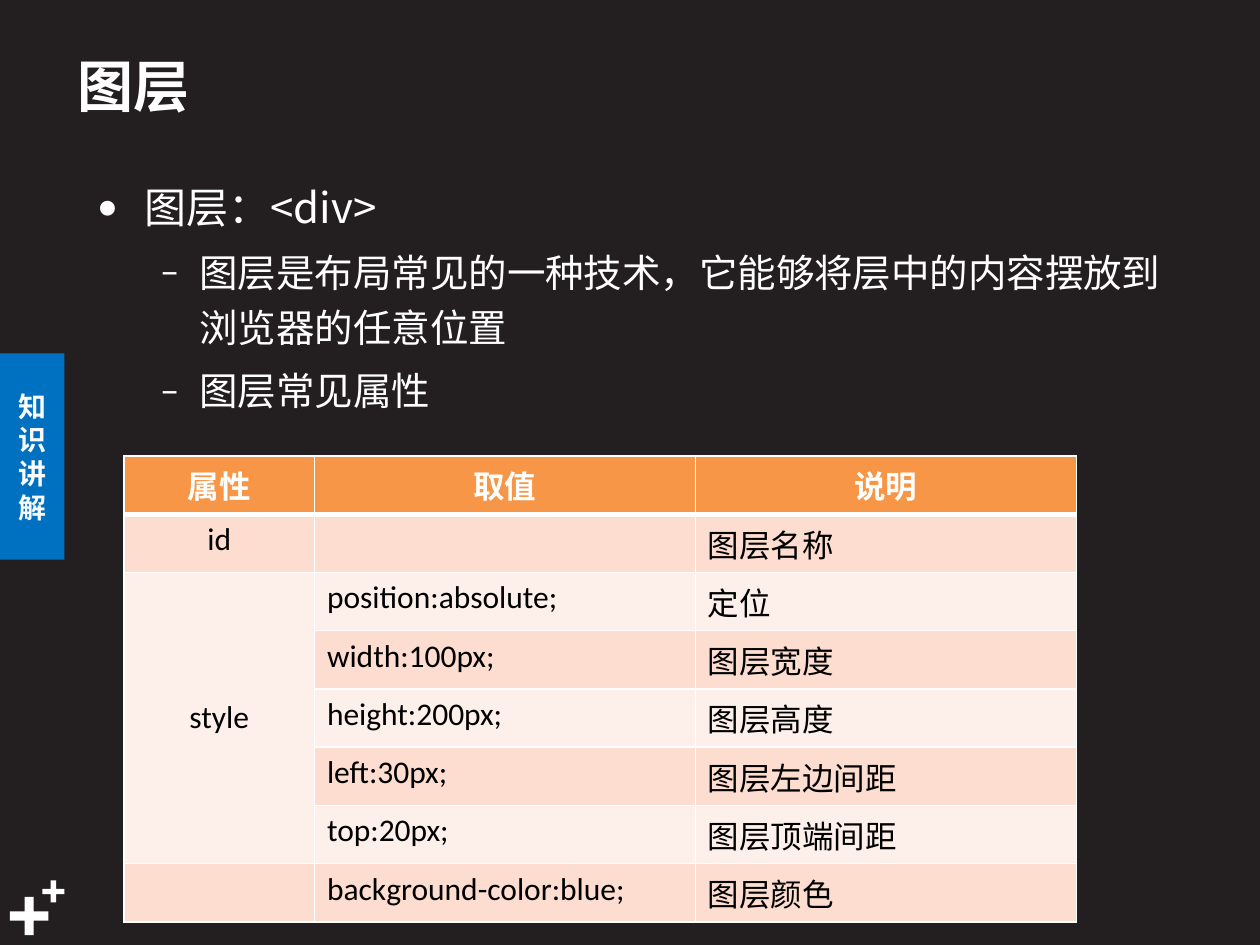
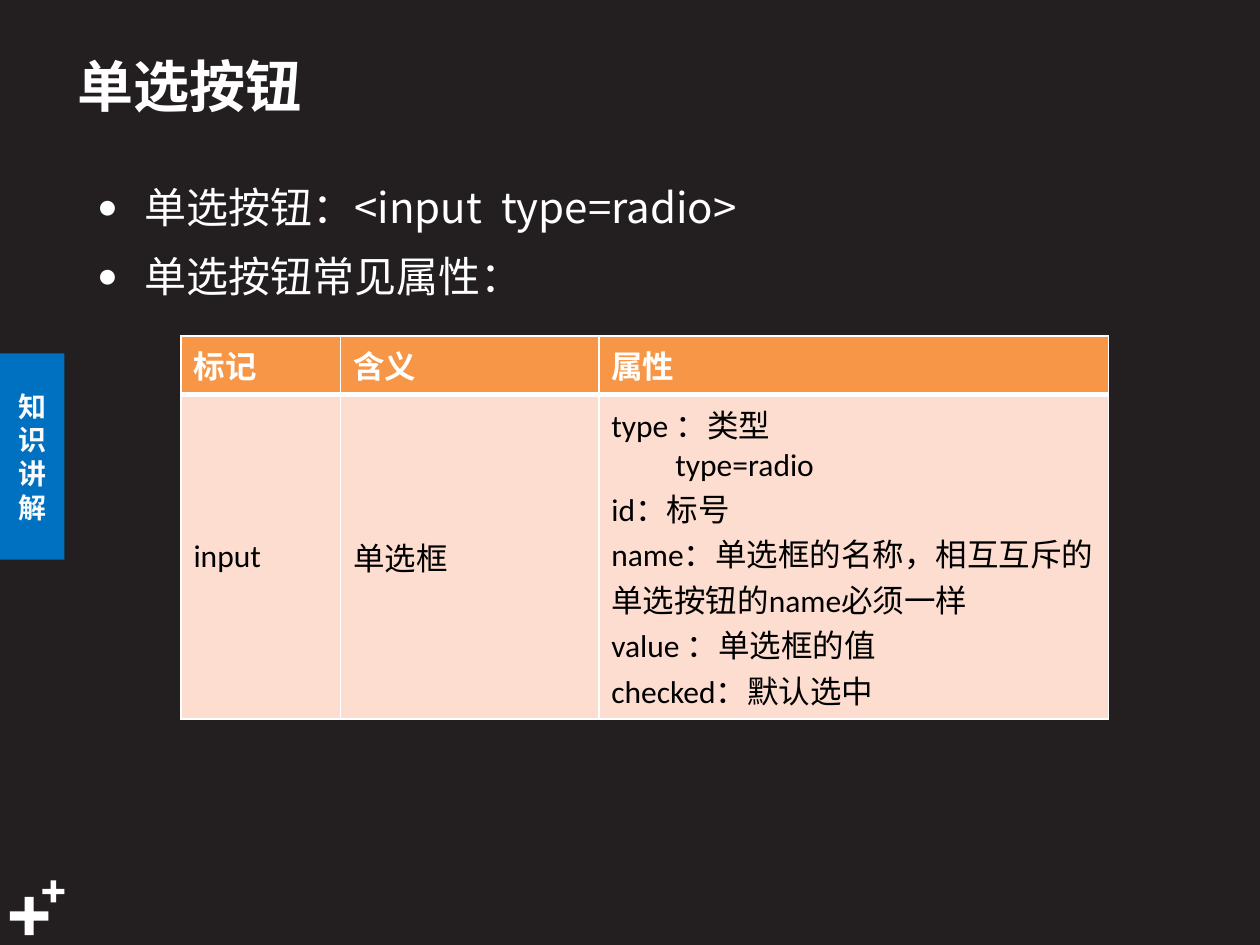
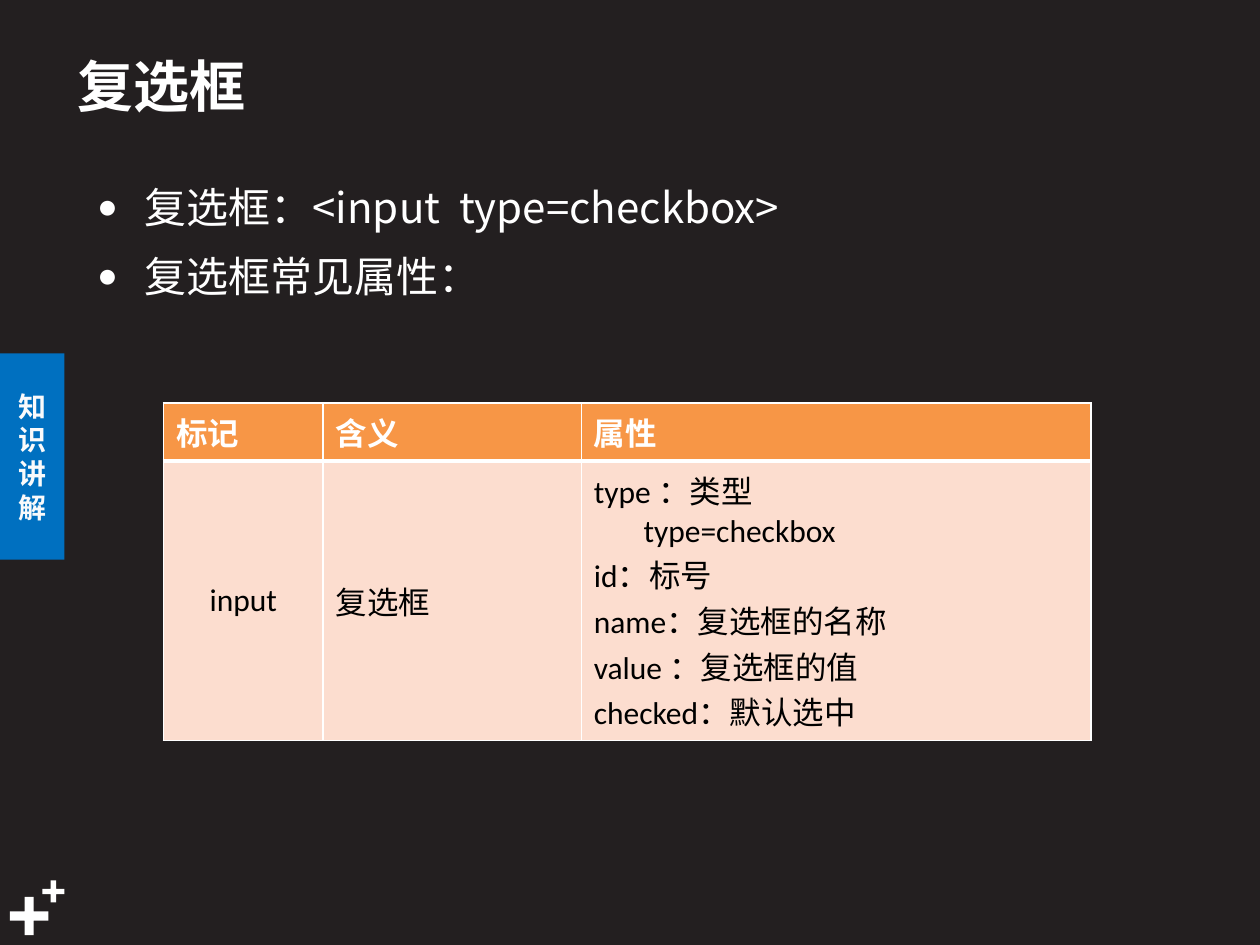
import dataclasses

import pptx
import pptx.dml.color
import pptx.enum.shapes
import pptx.enum.text
import pptx.oxml
import pptx.oxml.ns
import pptx.util

Pt = pptx.util.Pt
Rgb = pptx.dml.color.RGBColor.from_string
Shape = pptx.enum.shapes.MSO_SHAPE
Align = pptx.enum.text.PP_ALIGN
Mid = pptx.enum.text.MSO_ANCHOR.MIDDLE


@dataclasses.dataclass(frozen=True)
class Theme:
    """Hold the colours, fonts and type sizes of the deck."""
    back: str = "231F20"
    white: str = "FFFFFF"
    black: str = "000000"
    blue: str = "0070C0"
    pale: str = "F9FAFB"
    head: str = "F79646"
    bands: tuple = ("FCDDCF", "FDEFE9")
    sans: str = "Noto Sans CJK SC"
    latin: str = "Calibri"
    title: int = 32
    body: tuple = (24, 22)
    cell: int = 18
    tab: int = 16


THEME = Theme()
BULLETS = (("•", 27, -27), ("–", 58.5, -22.5))
ROW = 33.3
FORM_COLS = (91.3, 147.5, 291.4)
FORM_HEAD = ("标记", "含义", "属性")


def apply(item, values):
    """Set each named value on the item."""
    for name, value in values.items():
        setattr(item, name, value)


def node(parent, tag, **attrs):
    """Append a drawing element with its attributes."""
    child = pptx.oxml.parse_xml(f"<a:{tag} {pptx.oxml.ns.nsdecls('a')}/>")
    for name, value in attrs.items():
        child.set(name, str(value))
    parent.append(child)
    return child


def write(para, text, size, color, bold=False, name=THEME.sans):
    """Add one styled run to a paragraph."""
    run = para.add_run()
    run.text = text
    apply(run.font, {"size": Pt(size), "bold": bold, "name": name})
    run.font.color.rgb = Rgb(color)
    node(run.font._element, "ea", typeface=THEME.sans)


def indent(para, left, first=0):
    """Set the left margin and first line indent, and return the properties."""
    props = para._p.get_or_add_pPr()
    props.set("marL", str(Pt(left)))
    props.set("indent", str(Pt(first)))
    return props


def block(shapes, kind, box, color):
    """Draw a plain filled shape."""
    shape = shapes.add_shape(kind, *map(Pt, box))
    shape.shadow.inherit = False
    shape.fill.solid()
    shape.fill.fore_color.rgb = Rgb(color)
    shape.line.fill.background()
    return shape


def frame(slide):
    """Draw the plus signs and the side tab."""
    group = slide.shapes.add_group_shape()
    for left, top, size in ((5.7, 512.5, 21.9), (24.2, 503.1, 12.6)):
        plus = block(group.shapes, Shape.CROSS, (left, top, size, size), THEME.white)
        plus.adjustments[0] = 0.38
    tab = block(slide.shapes, Shape.RECTANGLE, (0, 202, 36.8, 117.8), THEME.blue)
    apply(tab.text_frame, {"word_wrap": True, "vertical_anchor": Mid})
    para = tab.text_frame.paragraphs[0]
    apply(para, {"alignment": Align.CENTER, "line_spacing": Pt(19.2)})
    write(para, "知识讲解", THEME.tab, THEME.pale, True)


def title(slide, text):
    """Add the slide title."""
    box = slide.shapes.add_textbox(*map(Pt, (37.2, 20.5, 532.8, 56.2)))
    apply(box.text_frame, {"word_wrap": True, "vertical_anchor": Mid})
    write(box.text_frame.paragraphs[0], text, THEME.title, THEME.white, True)


def points(slide, lines, height):
    """Add bullet lines given as level and text."""
    box = slide.shapes.add_textbox(*map(Pt, (48.5, 94.3, 640.8, height)))
    box.text_frame.word_wrap = True
    for index, (level, text) in enumerate(lines):
        para = box.text_frame.add_paragraph() if index else box.text_frame.paragraphs[0]
        mark, left, first = BULLETS[level]
        size = THEME.body[level]
        props = indent(para, left, first)
        node(props, "buFont", typeface=THEME.latin)
        node(props, "buChar", char=mark)
        apply(para, {"level": level, "line_spacing": 1.2,
                     "space_before": Pt(0.2 * size if index else 0)})
        write(para, text, size, THEME.white)


def edge(cell, row):
    """Rule a cell in white, with a thick line under the header."""
    props = cell._tc.get_or_add_tcPr()
    for side in "LRTB":
        thick = (side, row) in (("B", 0), ("T", 1))
        line = node(props, "ln" + side, w=Pt(3 if thick else 1))
        node(node(line, "solidFill"), "srgbClr", val=THEME.white)


def fill(cell, lines, row, center):
    """Write and colour one table cell."""
    edge(cell, row)
    cell.fill.solid()
    cell.fill.fore_color.rgb = Rgb(THEME.bands[(row - 1) % 2] if row else THEME.head)
    color = THEME.black if row else THEME.white
    for index, (text, left) in enumerate(lines):
        para = cell.text_frame.add_paragraph() if index else cell.text_frame.paragraphs[0]
        if left:
            indent(para, left)
        if center:
            para.alignment = Align.CENTER
        write(para, text, THEME.cell, color, not row, THEME.latin)


def grid(slide, spot, cols, highs, rows, center=(), middle=()):
    """Add a table whose cells are texts or lists of text and indent."""
    box = (*spot, sum(cols), sum(highs))
    table = slide.shapes.add_table(len(rows), len(cols), *map(Pt, box)).table
    for column, width in zip(table.columns, cols):
        column.width = Pt(width)
    for line, high in zip(table.rows, highs):
        line.height = Pt(high)
    for row, texts in enumerate(rows):
        for col, text in enumerate(texts):
            lines = [(text, 0)] if isinstance(text, str) else text
            cell = table.cell(row, col)
            fill(cell, [line for line in lines if line[0]], row, (row, col) in center)
            if (row, col) in middle:
                cell.vertical_anchor = Mid
    return table


def page(deck, name):
    """Add a slide with the shared frame and a title."""
    slide = deck.slides.add_slide(deck.slide_layouts[6])
    frame(slide)
    title(slide, name)
    return slide


def layer(deck):
    """Build the slide on layers."""
    slide = page(deck, "图层")
    points(slide, [
        (0, "图层：<div>"),
        (1, "图层是布局常见的一种技术，它能够将层中的内容摆放到浏览器的任意位置"),
        (1, "图层常见属性"),
    ], 149)
    rows = [
        ("属性", "取值", "说明"),
        ("id", "", "图层名称"),
        ("style", "position:absolute;", "定位"),
        ("", "width:100px;", "图层宽度"),
        ("", "height:200px;", "图层高度"),
        ("", "left:30px;", "图层左边间距"),
        ("", "top:20px;", "图层顶端间距"),
        ("", "background-color:blue;", "图层颜色"),
    ]
    center = [(0, 0), (0, 1), (0, 2), (1, 0), (2, 0)]
    table = grid(slide, (70.9, 260.6), (108.8, 217.7, 217.7), [ROW] * len(rows),
                 rows, center, [(2, 0)])
    table.cell(2, 0).merge(table.cell(6, 0))


def form(deck, name, kind, short, shift, label, spot, high, center=()):
    """Build a slide on one kind of input."""
    slide = page(deck, name)
    points(slide, [(0, f"{name}：<input  type={kind}>"), (0, f"{name}常见属性：")], 82.8)
    notes = [
        ("type ：类型", 0),
        (f"type={kind}", shift),
        ("id：标号", 0),
        (f"name：{short}的名称{label}", 0),
        (f"value ：{short}的值", 0),
        ("checked：默认选中", 0),
    ]
    rows = [FORM_HEAD, ("input", short, notes)]
    grid(slide, spot, FORM_COLS, (ROW, high), rows, center, [(1, 0), (1, 1)])


def main():
    """Build the deck and save it."""
    deck = pptx.Presentation()
    apply(deck, {"slide_width": Pt(720), "slide_height": Pt(540)})
    back = deck.slide_master.background.fill
    back.solid()
    back.fore_color.rgb = Rgb(THEME.back)
    layer(deck)
    form(deck, "单选按钮", "radio", "单选框", 36.6,
         "，相互互斥的单选按钮的name必须一样", (103.4, 192), 185.6)
    form(deck, "复选框", "checkbox", "复选框", 28.4, "", (93.4, 230.2), 159.6, [(1, 0)])
    deck.save("out.pptx")


if __name__ == "__main__":
    main()
